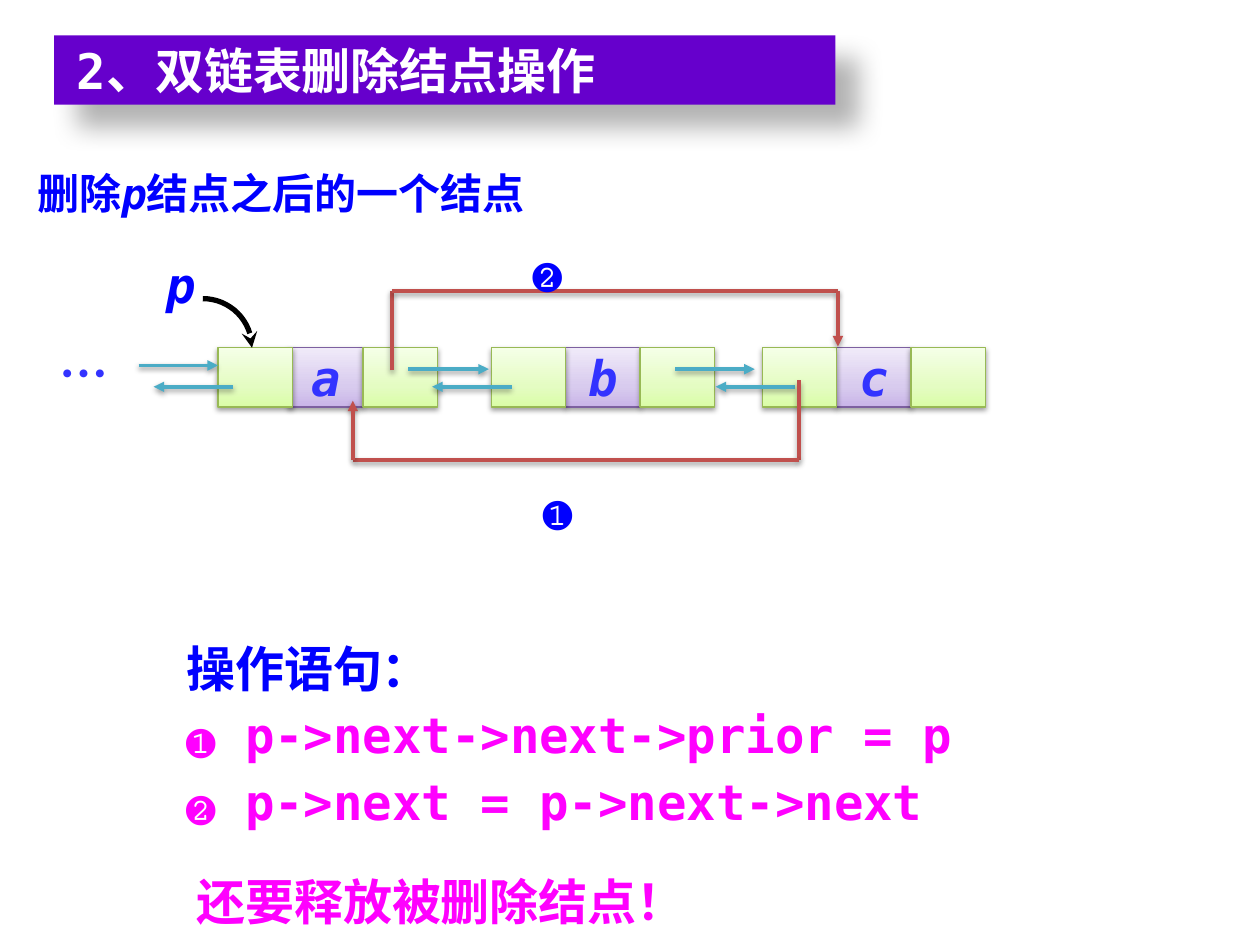
import dataclasses
import math

import lxml.etree
import pptx
import pptx.dml.color
import pptx.enum.shapes
import pptx.enum.text
import pptx.oxml
import pptx.oxml.ns
import pptx.util

Inches = pptx.util.Inches
Pt = pptx.util.Pt
MIDDLE = pptx.enum.text.MSO_ANCHOR.MIDDLE
TOP = pptx.enum.text.MSO_ANCHOR.TOP
CENTER = pptx.enum.text.PP_ALIGN.CENTER
FIT = pptx.enum.text.MSO_AUTO_SIZE.SHAPE_TO_FIT_TEXT


def rgb(value):
    return pptx.dml.color.RGBColor.from_string(value)


def apply(target, formats):
    for name, value in formats.items():
        setattr(target, name, value)


@dataclasses.dataclass(frozen=True)
class Theme:
    mono: str = "DejaVu Sans Mono"
    cjk: str = "Noto Sans CJK SC"
    large: int = 28
    small: int = 24
    blue: str = "0000FF"
    violet: str = "3333FF"
    magenta: str = "FF00FF"
    white: str = "FFFFFF"
    black: str = "000000"
    banner: str = "6600CC"
    link: str = "4BACC6"
    change: str = "C0504D"
    data_line: str = "7D60A0"
    pointer_line: str = "98B955"
    data_fill: tuple = ("C9B5E8", "D8CBEE", "F0EAF9")
    pointer_fill: tuple = ("DAFDA7", "E4FCC2", "F5FFE7")
    soft_shadow: tuple = (38, 3.1, 1.6, 90)
    banner_shadow: tuple = (30, 15, 18, 45)


class ListSlide:
    def __init__(self, slide, theme):
        self.slide = slide
        self.shapes = slide.shapes
        self.theme = theme

    def element(self, parent, tag, **attributes):
        child = lxml.etree.SubElement(parent, pptx.oxml.ns.qn(tag))
        for name, value in attributes.items():
            child.set(name, str(value))
        return child

    def shadow(self, shape, strength):
        alpha, blur, distance, angle = strength
        properties = shape._element.spPr
        for old in properties.findall(pptx.oxml.ns.qn("a:effectLst")):
            properties.remove(old)
        effects = self.element(properties, "a:effectLst")
        outer = self.element(effects, "a:outerShdw", blurRad=int(Pt(blur)), dist=int(Pt(distance)),
                             dir=angle * 60000, algn="tl", rotWithShape=0)
        color = self.element(outer, "a:srgbClr", val=self.theme.black)
        self.element(color, "a:alpha", val=alpha * 1000)

    def gradient(self, shape, colors):
        shape.fill.gradient()
        shape.fill.gradient_angle = 90
        fill = shape._element.spPr.find(pptx.oxml.ns.qn("a:gradFill"))
        stops = fill.find(pptx.oxml.ns.qn("a:gsLst"))
        for stop in list(stops):
            stops.remove(stop)
        for position, color in zip((0, 35, 100), colors):
            stop = self.element(stops, "a:gs", pos=position * 1000)
            self.element(stop, "a:srgbClr", val=color)

    def stroke(self, shape, color, width, head=None):
        shape.line.color.rgb = rgb(color)
        shape.line.width = Pt(width)
        if head:
            outline = shape._element.spPr.find(pptx.oxml.ns.qn("a:ln"))
            self.element(outline, "a:tailEnd", type=head)

    def run(self, paragraph, words, color, size=None, font=None, italic=False):
        run = paragraph.add_run()
        run.text = words
        family = font or self.theme.mono
        apply(run.font, {"name": family, "size": Pt(size or self.theme.large),
                         "bold": True, "italic": italic})
        run.font.color.rgb = rgb(color)
        self.element(run._r.get_or_add_rPr(), "a:ea", typeface=family)

    def text(self, left, top, width, height, paragraphs, align=None, leading=None, **style):
        box = self.shapes.add_textbox(Inches(left), Inches(top), Inches(width), Inches(height))
        frame = box.text_frame
        apply(frame, {"word_wrap": True, "auto_size": FIT})
        for index, runs in enumerate(paragraphs):
            paragraph = frame.add_paragraph() if index else frame.paragraphs[0]
            apply(paragraph, {"alignment": align, "line_spacing": leading,
                              "space_before": Pt(14) if index else None})
            for words, color, italic in runs:
                self.run(paragraph, words, color, italic=italic, **style)

    def rectangle(self, left, top, width, height):
        shape = self.shapes.add_shape(pptx.enum.shapes.MSO_SHAPE.RECTANGLE, Inches(left),
                                      Inches(top), Inches(width), Inches(height))
        shape.shadow.inherit = False
        return shape

    def cell(self, left, colors, outline, letter=None):
        box = self.rectangle(left, 2.76, 0.59, 0.47)
        self.gradient(box, colors)
        self.stroke(box, outline, 0.75)
        self.shadow(box, self.theme.soft_shadow)
        if letter:
            apply(box.text_frame, {"word_wrap": False, "vertical_anchor": MIDDLE})
            paragraph = box.text_frame.paragraphs[0]
            paragraph.alignment = CENTER
            self.run(paragraph, letter, self.theme.violet, italic=True)

    def node(self, letter, prior_left, data_left):
        theme = self.theme
        self.cell(data_left, theme.data_fill, theme.data_line, letter)
        for left in (data_left + 0.59, prior_left):
            self.cell(left, theme.pointer_fill, theme.pointer_line)

    def line(self, start, end, color, head=None):
        connector = self.shapes.add_connector(pptx.enum.shapes.MSO_CONNECTOR.STRAIGHT,
                                              *(Inches(v) for v in (*start, *end)))
        self.stroke(connector, color, 2, head)
        self.shadow(connector, self.theme.soft_shadow)

    def route(self, *corners):
        for start, end in zip(corners, corners[1:]):
            self.line(start, end, self.theme.change, "triangle" if end == corners[-1] else None)

    def curved_pointer(self, left, top, size, steps=16):
        angles = [math.pi / 2 * step / steps for step in range(steps + 1)]
        points = [(Inches(left + size * math.sin(a)), Inches(top + size * (1 - math.cos(a))))
                  for a in angles]
        builder = self.shapes.build_freeform(*points[0])
        builder.add_line_segments(points[1:], close=False)
        curve = builder.convert_to_shape()
        curve.shadow.inherit = False
        curve.fill.background()
        self.stroke(curve, self.theme.black, 3, "stealth")

    def banner(self, words):
        bar = self.rectangle(0.43, 0.28, 6.2, 0.55)
        bar.fill.solid()
        bar.fill.fore_color.rgb = rgb(self.theme.banner)
        bar.line.fill.background()
        self.shadow(bar, self.theme.banner_shadow)
        apply(bar.text_frame, {"margin_left": Inches(0.18), "margin_right": Inches(0.18),
                               "margin_top": Inches(0.04), "margin_bottom": Inches(0.04),
                               "word_wrap": True, "auto_size": FIT, "vertical_anchor": TOP})
        paragraph = bar.text_frame.paragraphs[0]
        paragraph.alignment = pptx.enum.text.PP_ALIGN.LEFT
        self.run(paragraph, words, self.theme.white)


def main():
    deck = pptx.Presentation()
    apply(deck, {"slide_width": Inches(10), "slide_height": Inches(7.5)})
    theme = Theme()
    page = ListSlide(deck.slides.add_slide(deck.slide_layouts[6]), theme)

    for letter, prior_left, data_left in (("a", 1.73, 2.29), ("b", 3.9, 4.49), ("c", 6.05, 6.64)):
        page.node(letter, prior_left, data_left)
    for start, end, level in ((1.1, 1.73, 2.9), (3.24, 3.88, 2.93), (5.36, 5.99, 2.93),
                              (1.85, 1.22, 3.07), (4.06, 3.43, 3.07), (6.31, 5.68, 3.07)):
        page.line((start, level), (end, level), theme.link, "triangle")

    page.curved_pointer(1.61, 2.37, 0.39)
    page.text(1.22, 1.97, 0.47, 0.57, [[("p", theme.blue, True)]])
    page.text(1.38, 5.15, 6.3, 1.58, [
        [("操作语句：", theme.blue, False)],
        [("❶ p->next->next->prior = p", theme.magenta, False)],
        [("❷ p->next = p->next->next", theme.magenta, False)],
    ], leading=Pt(24))
    page.text(0.35, 2.68, 0.63, 0.57, [[("…", theme.violet, False)]], align=CENTER, font=theme.cjk)

    page.route((6.34, 3.02), (6.34, 3.65), (2.8, 3.65), (2.8, 3.18))
    page.route((3.11, 2.94), (3.11, 2.31), (6.65, 2.31), (6.65, 2.75))
    for mark, left, top in (("❶", 4.21, 3.73), ("❷", 4.13, 1.84)):
        page.text(left, top, 0.47, 0.57, [[(mark, theme.blue, False)]])

    page.text(0.2, 1.28, 4.18, 0.5, [[("删除", theme.blue, False), ("p", theme.blue, True),
                                      ("结点之后的一个结点", theme.blue, False)]], size=theme.small)
    page.banner("2、双链表删除结点操作")
    page.text(1.46, 7, 6.29, 0.45, [[("还要释放被删除结点！", theme.magenta, False)]], leading=Pt(24))
    deck.save("out.pptx")


if __name__ == "__main__":
    main()
